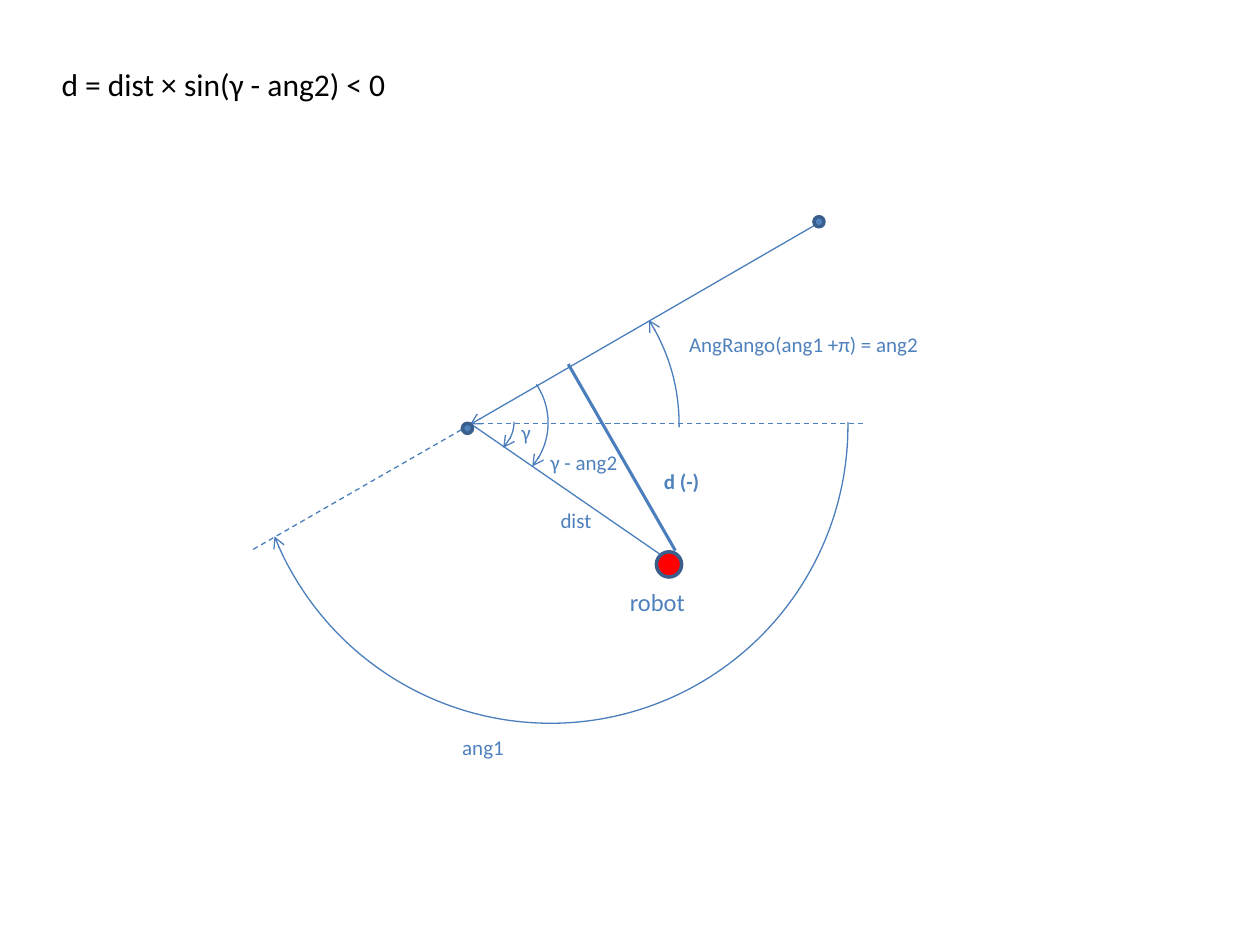
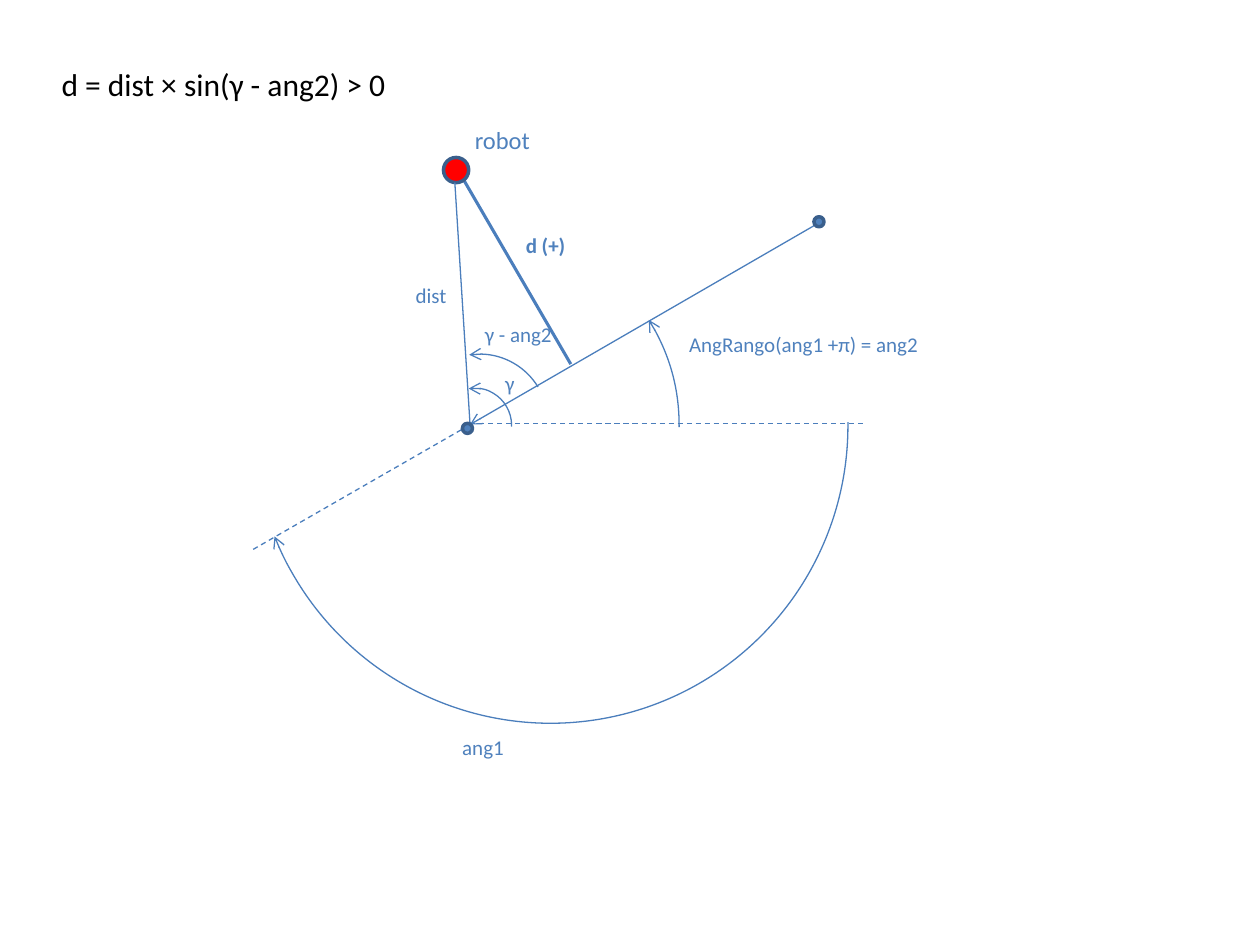
from dataclasses import dataclass

from lxml import etree
from pptx import Presentation
from pptx import util as u
from pptx.dml.color import RGBColor
from pptx.enum import dml, shapes, text
from pptx.oxml import ns

BLACK = RGBColor(0x00, 0x00, 0x00)
RED = RGBColor(0xFF, 0x00, 0x00)
BLUE = RGBColor(0x4F, 0x81, 0xBD)
LINE_BLUE = RGBColor(0x4B, 0x7E, 0xBC)
OUTLINE_BLUE = RGBColor(0x3A, 0x5F, 0x8C)
FONT = "Calibri"
ADJUSTMENT_PER_DEGREE = 0.6

ORIGIN = (3.73, 3.36)
HEAD, TAIL = "a:headEnd", "a:tailEnd"


@dataclass
class Arc:
    left: float
    top: float
    size: float
    start: float
    end: float
    arrow: str
    rotation: float = 0


@dataclass
class Case:
    formula: str
    robot: tuple
    robot_label: tuple
    distance_end: tuple
    distance_label: tuple
    perpendicular: tuple
    d_text: str
    d_label: tuple
    gamma_arc: Arc
    gamma_label: tuple
    difference_arc: Arc
    difference_label: tuple


ANG1_ARC = Arc(2.01, 1.02, 4.72, 359.3, 158.18, TAIL)
ANG2_ARC = Arc(2.24, 1.8, 3.15, 327.94, 0.54, HEAD)

CASES = [
    Case(
        formula="d = dist × sin(γ - ang2) < 0",
        robot=(5.21, 4.38),
        robot_label=(4.9, 4.61),
        distance_end=(5.24, 4.4),
        distance_label=(4.35, 3.98),
        perpendicular=((4.51, 2.89), (5.36, 4.37)),
        d_text="d (-)",
        d_label=(5.06, 3.67),
        gamma_arc=Arc(3.49, 3.05, 0.59, 0.35, 44.96, TAIL),
        gamma_label=(4.04, 3.28),
        difference_arc=Arc(3.26, 2.81, 1.09, 326.01, 39.59, TAIL),
        difference_label=(4.27, 3.52),
    ),
    Case(
        formula="d = dist × sin(γ - ang2) > 0",
        robot=(3.52, 1.25),
        robot_label=(3.67, 0.94),
        distance_end=(3.61, 1.45),
        distance_label=(3.2, 2.19),
        perpendicular=((3.67, 1.41), (4.53, 2.89)),
        d_text="d (+)",
        d_label=(3.98, 1.8),
        gamma_arc=Arc(3.47, 3.08, 0.59, 291.09, 32, HEAD, 330),
        gamma_label=(3.91, 2.89),
        difference_arc=Arc(3.26, 2.81, 1.09, 291.49, 358.58, HEAD, 330),
        difference_label=(3.75, 2.5),
    ),
]


class Diagram:
    def __init__(self, presentation):
        self.presentation = presentation
        self.slide = None

    def new_slide(self):
        blank = self.presentation.slide_layouts[6]
        self.slide = self.presentation.slides.add_slide(blank)

    def label(self, content, position, width, height=0.3, size=12,
              color=BLUE, bold=False, align=text.PP_ALIGN.LEFT):
        box = self.slide.shapes.add_textbox(
            *map(u.Inches, (*position, width, height)))
        frame = box.text_frame
        frame.word_wrap = True
        frame.text = content
        paragraph = frame.paragraphs[0]
        paragraph.alignment = align
        font = paragraph.runs[0].font
        font.name = FONT
        font.size = u.Pt(size)
        font.bold = bold
        font.color.rgb = color

    def stroke(self, shape, width=0.75, dashed=False, arrow=None):
        shape.line.color.rgb = LINE_BLUE
        shape.line.width = u.Pt(width)
        if dashed:
            shape.line.dash_style = dml.MSO_LINE.DASH
        if arrow:
            line = shape.line._get_or_add_ln()
            etree.SubElement(line, ns.qn(arrow), type="arrow")

    def line(self, start, end, **style):
        connector = self.slide.shapes.add_connector(
            shapes.MSO_CONNECTOR.STRAIGHT, *map(u.Inches, (*start, *end)))
        self.stroke(connector, **style)
        etree.SubElement(connector._element.spPr, ns.qn("a:effectLst"))

    def arc(self, arc):
        shape = self.slide.shapes.add_shape(
            shapes.MSO_SHAPE.ARC,
            *map(u.Inches, (arc.left, arc.top, arc.size, arc.size)))
        shape.adjustments[0] = arc.start * ADJUSTMENT_PER_DEGREE
        shape.adjustments[1] = arc.end * ADJUSTMENT_PER_DEGREE
        shape.rotation = arc.rotation
        shape.shadow.inherit = False
        shape.fill.background()
        self.stroke(shape, arrow=arc.arrow)

    def dot(self, position, diameter=0.08, color=BLUE):
        shape = self.slide.shapes.add_shape(
            shapes.MSO_SHAPE.OVAL,
            *map(u.Inches, (*position, diameter, diameter)))
        shape.shadow.inherit = False
        shape.fill.solid()
        shape.fill.fore_color.rgb = color
        shape.line.color.rgb = OUTLINE_BLUE
        shape.line.width = u.Pt(2)

    def draw(self, case):
        self.new_slide()
        self.label(case.formula, (0.39, 0.47), 3.13, 0.4, size=18, color=BLACK)
        self.line((2.01, 4.36), (3.75, 3.36), dashed=True)
        self.line(*case.perpendicular, width=1.75)
        self.dot(case.robot, 0.2, RED)
        self.line(ORIGIN, (6.88, 3.36), dashed=True)
        self.label("ang1", (3.57, 5.78), 0.78)
        self.label("AngRango(ang1 +π) = ang2", (5.37, 2.58), 2.81)
        self.label("γ", case.gamma_label, 0.39)
        self.label("dist", case.distance_label, 0.55)
        self.label(case.d_text, case.d_label, 0.7, bold=True,
                   align=text.PP_ALIGN.CENTER)
        self.line((3.73, 3.37), (6.48, 1.78), arrow=HEAD)
        self.line(ORIGIN, case.distance_end)
        self.dot((6.46, 1.72))
        self.arc(ANG2_ARC)
        self.arc(case.gamma_arc)
        self.arc(ANG1_ARC)
        self.label("robot", case.robot_label, 0.86, 0.34, size=14)
        self.arc(case.difference_arc)
        self.label("γ - ang2", case.difference_label, 0.86)
        self.dot((3.67, 3.36))


def main():
    presentation = Presentation()
    presentation.slide_width = u.Inches(10)
    presentation.slide_height = u.Inches(7.5)
    diagram = Diagram(presentation)
    for case in CASES:
        diagram.draw(case)
    presentation.save("out.pptx")


if __name__ == "__main__":
    main()
